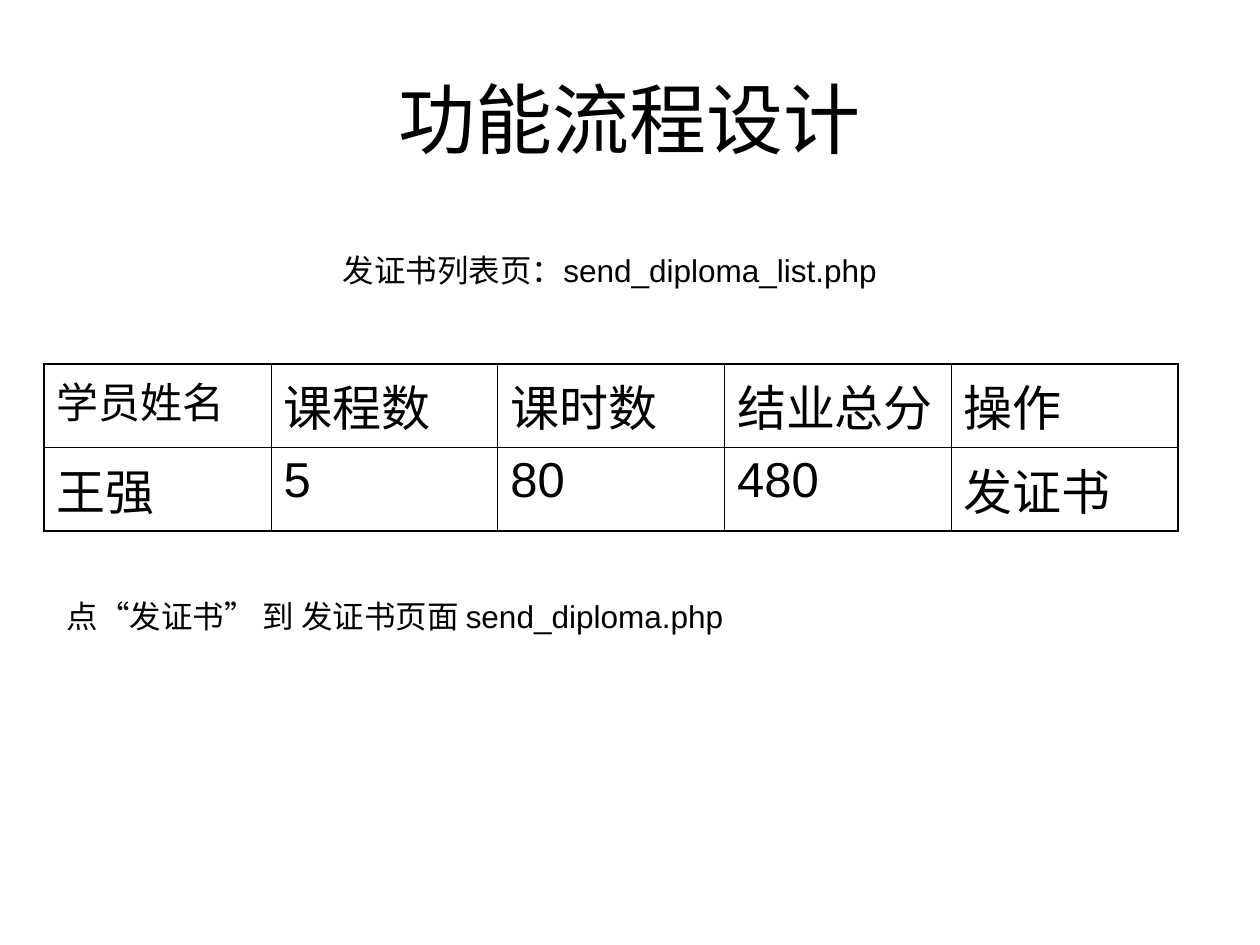
from lxml import etree
from pptx import Presentation
from pptx.dml.color import RGBColor
from pptx.enum.text import MSO_ANCHOR, MSO_AUTO_SIZE, PP_ALIGN
from pptx.oxml.ns import qn
from pptx.util import Inches, Pt

LEFT, MID = PP_ALIGN.LEFT, PP_ALIGN.CENTER
CENTRE = MSO_ANCHOR.MIDDLE
GROW = MSO_AUTO_SIZE.SHAPE_TO_FIT_TEXT
BLACK = RGBColor(0, 0, 0)
THIN, THICK = 0.45, 1.08
TITLE_ONLY = 5


class Page:
    """Holds the style and the current slide; places are shares of its size."""

    font = "Arial"
    ink = BLACK

    def __init__(self, deck):
        self.wide, self.high = deck.slide_width, deck.slide_height
        self.slide = deck.slides.add_slide(deck.slide_layouts[TITLE_ONLY])

    def box(self, x, y, w, h):
        return (round(x * self.wide), round(y * self.high),
                round(w * self.wide), round(h * self.high))

    def label(self, frame, text, size, align=LEFT, before=0):
        para = frame.paragraphs[0]
        para.alignment = align
        para.space_before = Pt(before)
        run = para.add_run()
        run.text = text
        run.font.size = Pt(size)
        run.font.name = self.font
        run.font.color.rgb = self.ink

    def title(self, place, text, size):
        head = self.slide.shapes.title
        head.left, head.top, head.width, head.height = self.box(*place)
        head.text_frame.vertical_anchor = CENTRE
        self.label(head.text_frame, text, size, MID)

    def note(self, place, text, size, align=LEFT, before=0):
        frame = self.slide.shapes.add_textbox(*self.box(*place)).text_frame
        frame.word_wrap = True
        frame.auto_size = GROW
        self.label(frame, text, size, align, before)

    def edge(self, cell, side, width):
        line = etree.SubElement(cell._tc.get_or_add_tcPr(), qn("a:" + side),
                                w=str(int(Pt(width))))
        fill = etree.SubElement(line, qn("a:solidFill"))
        etree.SubElement(fill, qn("a:srgbClr"), val=str(self.ink))

    def table(self, place, rows, size, small):
        count, cols = len(rows), len(rows[0])
        grid = self.slide.shapes.add_table(count, cols, *self.box(*place)).table
        grid.first_row = grid.horz_banding = False
        for r, row in enumerate(rows):
            for c, text in enumerate(row):
                cell = grid.cell(r, c)
                # Outer edges are thick, inner ones thin
                outer = {"lnL": c == 0, "lnR": c == cols - 1,
                         "lnT": r == 0, "lnB": r == count - 1}
                for side, thick in outer.items():
                    self.edge(cell, side, THICK if thick else THIN)
                cell.fill.background()
                # The first heading is set smaller
                points = small if r == c == 0 else size
                self.label(cell.text_frame, text, points, before=points / 4)


def main():
    deck = Presentation()
    deck.slide_width, deck.slide_height = Inches(10), Inches(7.5)
    page = Page(deck)

    # Title
    page.title((0.05, 0.04, 0.9, 0.17), "功能流程设计", 44)

    # Student table
    page.table((0.035, 0.385, 0.9, 0.177), [
        ["学员姓名", "课程数", "课时数", "结业总分", "操作"],
        ["王强", "5", "80", "480", "发证书"],
    ], 28, 24)

    # Notes below and above the table
    page.note((0.043, 0.625, 0.788, 0.053),
              "点“发证书” 到 发证书页面 send_diploma.php", 18, before=11.2)
    page.note((0.035, 0.259, 0.898, 0.053),
              "发证书列表页：send_diploma_list.php", 18, MID, 4.5)

    deck.save("out.pptx")


if __name__ == "__main__":
    main()
